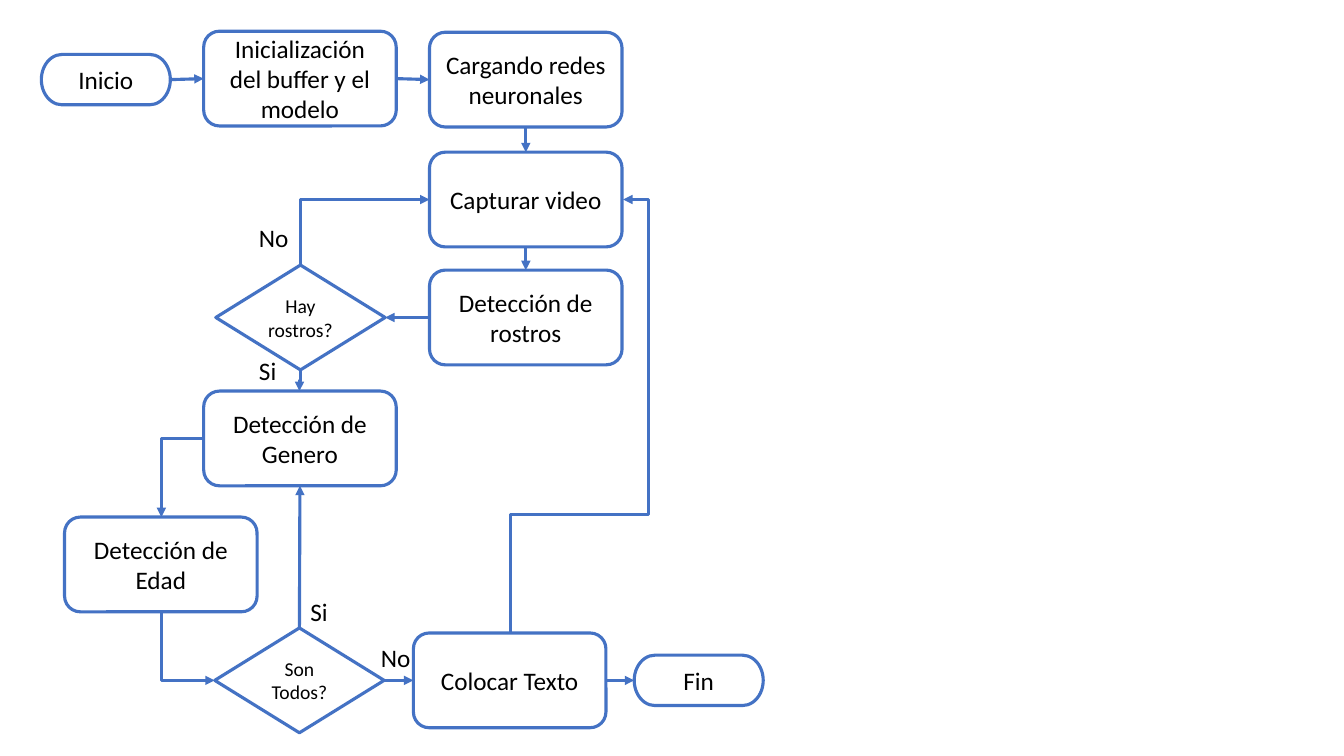
from lxml.etree import SubElement
from pptx import Presentation
from pptx.dml.color import RGBColor
from pptx.enum.shapes import MSO_CONNECTOR as LINK, MSO_SHAPE as SHAPE
from pptx.enum.text import MSO_ANCHOR, MSO_AUTO_SIZE, PP_ALIGN
from pptx.oxml.ns import qn
from pptx.util import Inches, Pt

BLUE, WHITE, BLACK = "4472C4", "FFFFFF", "000000"
TOP, LEFT, BOTTOM, RIGHT = range(4)


def color(hex_value):
    return RGBColor.from_string(hex_value)


def format_text(frame, text, size):
    frame.text = text
    for run in frame.paragraphs[0].runs:
        run.font.size = Pt(size)
        run.font.name = "Calibri"
        run.font.color.rgb = color(BLACK)


def add_node(slide, kind, text, left, top, width, height, size=18):
    node = slide.shapes.add_shape(
        kind, Inches(left), Inches(top), Inches(width), Inches(height))
    node.shadow.inherit = False
    node.fill.solid()
    node.fill.fore_color.rgb = color(WHITE)
    node.line.color.rgb = color(BLUE)
    node.line.width = Pt(2.25)
    frame = node.text_frame
    frame.word_wrap = True
    frame.vertical_anchor = MSO_ANCHOR.MIDDLE
    format_text(frame, text, size)
    frame.paragraphs[0].alignment = PP_ALIGN.CENTER
    return node


def add_process(slide, text, left, top):
    return add_node(slide, SHAPE.ROUNDED_RECTANGLE, text, left, top, 1.91, 0.94)


def add_decision(slide, text, left, top):
    return add_node(slide, SHAPE.FLOWCHART_DECISION, text, left, top, 1.68, 1.04, 14)


def add_terminator(slide, text, left, top):
    return add_node(slide, SHAPE.FLOWCHART_TERMINATOR, text, left, top, 1.28, 0.5)


def add_label(slide, text, left, top, width):
    label = slide.shapes.add_textbox(
        Inches(left), Inches(top), Inches(width), Inches(0.4))
    frame = label.text_frame
    frame.word_wrap = False
    frame.auto_size = MSO_AUTO_SIZE.SHAPE_TO_FIT_TEXT
    format_text(frame, text, 18)


def style_arrow(arrow):
    arrow.line.color.rgb = color(BLUE)
    arrow.line.width = Pt(2.25)
    SubElement(arrow.line._get_or_add_ln(), qn("a:tailEnd"), type="triangle")
    SubElement(arrow._element.spPr, qn("a:effectLst"))


def add_arrow(slide, source, source_side, target, target_side):
    arrow = slide.shapes.add_connector(LINK.STRAIGHT, 0, 0, 0, 0)
    arrow.begin_connect(source, source_side)
    arrow.end_connect(target, target_side)
    style_arrow(arrow)


def add_bent_arrow(slide, start, end, rotation, preset, adjustments=()):
    dx, dy = end[0] - start[0], end[1] - start[1]
    across, down = {90: (dy, -dx), 180: (-dx, -dy), 270: (-dy, dx)}[rotation]
    center_x, center_y = (start[0] + end[0]) / 2, (start[1] + end[1]) / 2
    arrow = slide.shapes.add_connector(
        LINK.ELBOW,
        Inches(center_x - across / 2), Inches(center_y - down / 2),
        Inches(center_x + across / 2), Inches(center_y + down / 2))
    properties = arrow._element.spPr
    properties.find(qn("a:xfrm")).set("rot", str(rotation * 60000))
    geometry = properties.find(qn("a:prstGeom"))
    geometry.set("prst", preset)
    guides = geometry.find(qn("a:avLst"))
    for number, value in enumerate(adjustments, 1):
        SubElement(guides, qn("a:gd"), name=f"adj{number}", fmla=f"val {value}")
    style_arrow(arrow)


def main():
    prs = Presentation()
    prs.slide_width, prs.slide_height = Inches(13.33), Inches(7.5)
    slide = prs.slides.add_slide(prs.slide_layouts[6])

    setup = add_process(slide, "Inicialización del buffer y el modelo", 2.02, 0.31)
    networks = add_process(slide, "Cargando redes neuronales", 4.26, 0.32)
    capture = add_process(slide, "Capturar video", 4.26, 1.51)
    faces = add_process(slide, "Detección de rostros", 4.26, 2.68)
    any_faces = add_decision(slide, "Hay rostros?", 2.14, 2.63)
    gender = add_process(slide, "Detección de Genero", 2.02, 3.88)
    add_process(slide, "Detección de Edad", 0.64, 5.13)
    all_done = add_decision(slide, "Son Todos?", 2.13, 6.23)
    caption = add_process(slide, "Colocar Texto", 4.1, 6.28)
    finish = add_terminator(slide, "Fin", 6.29, 6.5)
    begin = add_terminator(slide, "Inicio", 0.41, 0.54)

    for source, source_side, target, target_side in (
        (begin, RIGHT, setup, LEFT),
        (setup, RIGHT, networks, LEFT),
        (networks, BOTTOM, capture, TOP),
        (capture, BOTTOM, faces, TOP),
        (faces, LEFT, any_faces, RIGHT),
        (all_done, RIGHT, caption, LEFT),
        (caption, RIGHT, finish, LEFT),
        (all_done, TOP, gender, BOTTOM),
    ):
        add_arrow(slide, source, source_side, target, target_side)

    for start, end, rotation, preset, adjustments in (
        ((2.98, 2.63), (4.26, 1.98), 90, "bentConnector2", ()),
        ((2.98, 3.68), (2.97, 3.88), 90, "bentConnector3", ()),
        ((2.02, 4.35), (1.6, 5.13), 180, "bentConnector2", ()),
        ((1.6, 6.07), (2.13, 6.75), 270, "bentConnector2", ()),
        ((5.06, 6.28), (6.18, 1.98), 90, "bentConnector4", (27400, 122300)),
    ):
        add_bent_arrow(slide, start, end, rotation, preset, adjustments)

    for text, left, top, width in (
        ("No", 2.47, 2.16, 0.5),
        ("Si", 2.47, 3.48, 0.38),
        ("Si", 2.98, 5.87, 0.38),
        ("No", 3.68, 6.32, 0.5),
    ):
        add_label(slide, text, left, top, width)

    prs.save("out.pptx")


if __name__ == "__main__":
    main()
